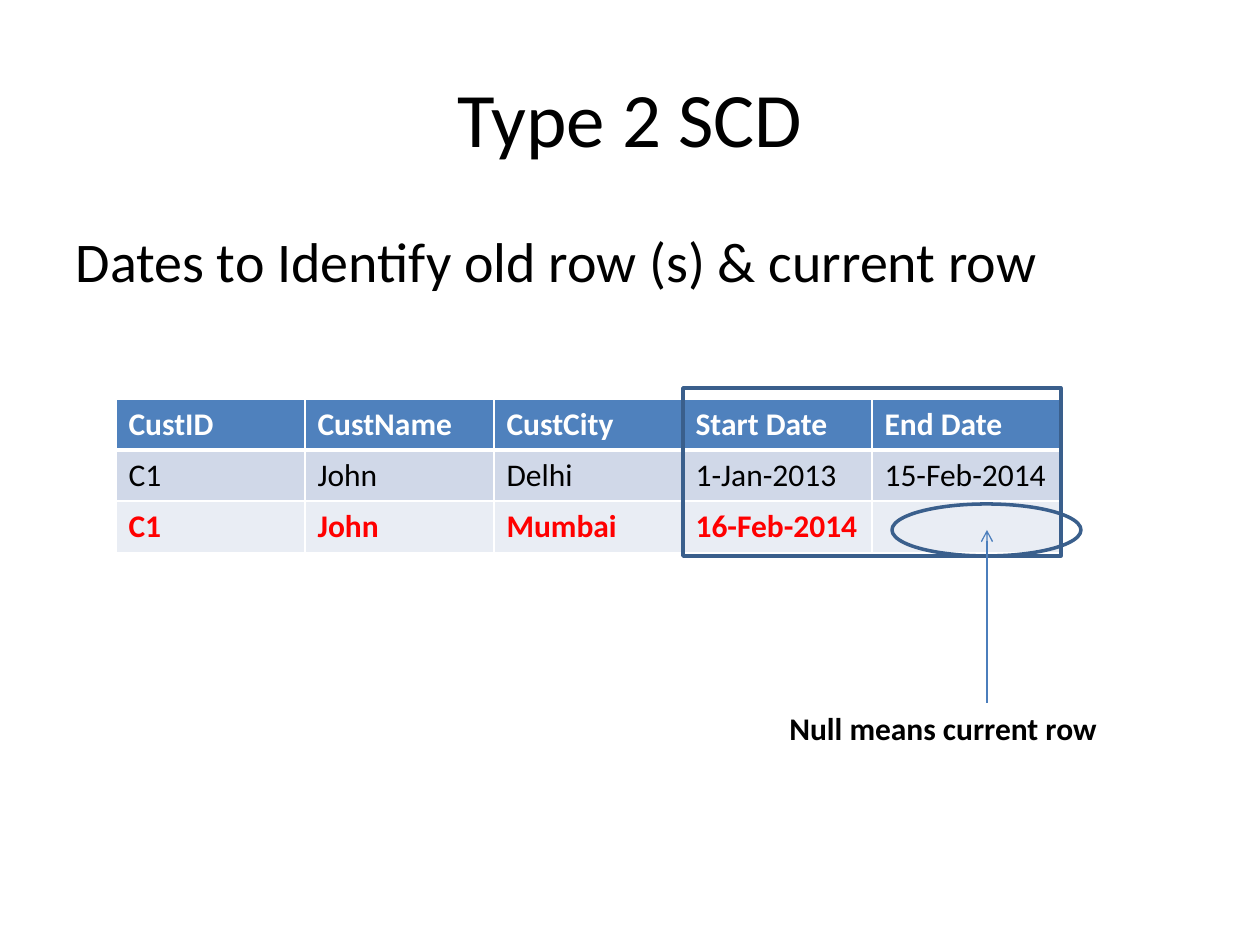
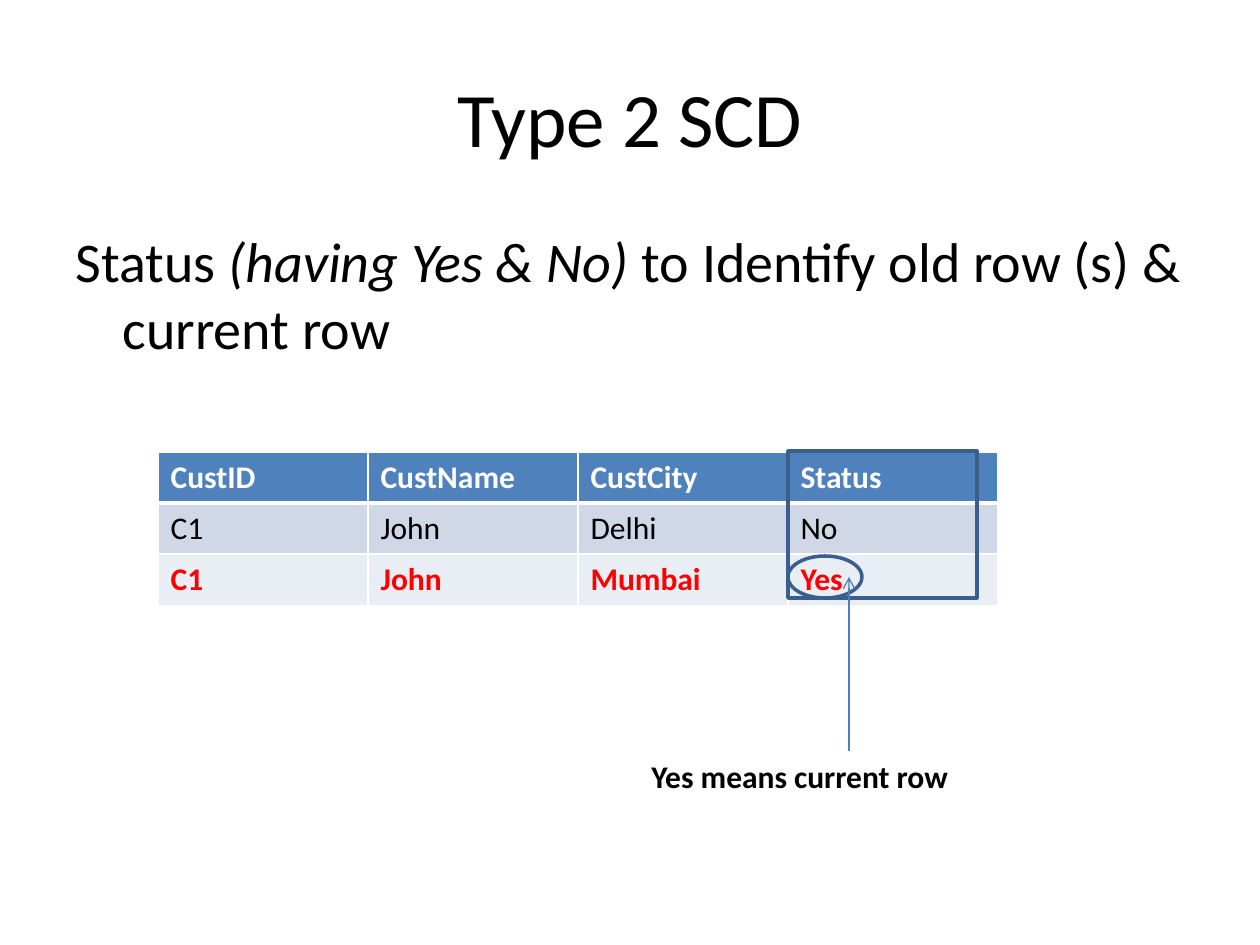
from dataclasses import dataclass

from lxml.etree import SubElement as Sub
from pptx import Presentation
from pptx.dml.color import RGBColor as Rgb
from pptx.enum.shapes import MSO_CONNECTOR as Link, MSO_SHAPE as Kind
from pptx.enum.text import MSO_ANCHOR as Anchor, PP_ALIGN as Align
from pptx.oxml import parse_xml
from pptx.oxml.ns import nsdecls, qn
from pptx.util import Emu, Pt

SCALE = 914400 / 126


def px(size):
    return Emu(round(size * SCALE))


@dataclass(frozen=True)
class Theme:
    face: str = "Calibri"
    ink: str = "000000"
    white: str = "FFFFFF"
    red: str = "FF0000"
    head: str = "4F81BD"
    band: str = "D0D8E8"
    pale: str = "E9EDF4"
    frame: str = "3A5F8C"
    arrow: str = "4B7EBC"
    title: int = 44
    body: int = 32
    text: int = 18


class Deck:
    def __init__(self, theme):
        self.theme = theme
        self.show = Presentation()
        self.show.slide_width, self.show.slide_height = px(1260), px(945)
        self.slide = None

    def place(self, shape, box):
        shape.left, shape.top, shape.width, shape.height = map(px, box)

    def add_run(self, para, text, size, color=None, bold=False, slant=False):
        run = para.add_run()
        run.text = text
        font = run.font
        font.name, font.size = self.theme.face, Pt(size)
        font.bold, font.italic = bold, slant
        font.color.rgb = Rgb.from_string(color or self.theme.ink)

    def page(self, title, lead):
        self.slide = self.show.slides.add_slide(self.show.slide_layouts[1])
        head, body = self.slide.placeholders
        self.place(head, (63, 38, 1134, 157))
        head.text_frame.vertical_anchor = Anchor.MIDDLE
        para = head.text_frame.paragraphs[0]
        para.alignment = Align.CENTER
        self.add_run(para, title, self.theme.title)
        self.place(body, (63, 220, 1134, 624))
        para = body.text_frame.paragraphs[0]
        props = para._p.get_or_add_pPr()
        props.set("marL", str(px(47)))
        props.set("indent", str(px(-47)))
        Sub(props, qn("a:buNone"))
        para.space_before = Pt(0)
        for text, slant in lead:
            self.add_run(para, text, self.theme.body, slant=slant)

    def edge(self, cell, widths):
        props = cell._tc.get_or_add_tcPr()
        for spot, (side, width) in enumerate(zip("LRTB", widths)):
            props.insert(spot, parse_xml(
                f'<a:ln{side} {nsdecls("a")} w="{Pt(width)}"><a:solidFill>'
                f'<a:srgbClr val="{self.theme.white}"/></a:solidFill></a:ln{side}>'))

    def table(self, left, top, wide, rows, high=51):
        look = self.theme
        styles = [(look.head, look.white, True, (1, 1, 1, 3)),
                  (look.band, look.ink, False, (1, 1, 3, 1)),
                  (look.pale, look.red, True, (1, 1, 1, 1))]
        count = len(rows[0])
        box = map(px, (left, top, wide * count, high * len(rows)))
        grid = self.slide.shapes.add_table(len(rows), count, *box).table
        for col in grid.columns:
            col.width = px(wide)
        for line, row, style in zip(grid.rows, rows, styles):
            line.height = px(high)
            fill, color, bold, widths = style
            for cell, text in zip(line.cells, row):
                cell.fill.solid()
                cell.fill.fore_color.rgb = Rgb.from_string(fill)
                self.edge(cell, widths)
                if text:
                    para = cell.text_frame.paragraphs[0]
                    self.add_run(para, text, look.text, color, bold)

    def ring(self, kind, *box):
        shape = self.slide.shapes.add_shape(kind, *map(px, box))
        shape.shadow.inherit = False
        shape.fill.background()
        shape.line.color.rgb = Rgb.from_string(self.theme.frame)
        shape.line.width = Pt(2)

    def arrow(self, x, start, end):
        link = self.slide.shapes.add_connector(
            Link.STRAIGHT, *map(px, (x, start, x, end)))
        link.line.color.rgb = Rgb.from_string(self.theme.arrow)
        link.line.width = Pt(0.75)
        props = link.element.spPr
        Sub(props.find(qn("a:ln")), qn("a:tailEnd"), type="arrow")
        Sub(props, qn("a:effectLst"))

    def note(self, text, left, top):
        box = self.slide.shapes.add_textbox(*map(px, (left, top, 336, 51)))
        box.text_frame.word_wrap = True
        self.add_run(box.text_frame.paragraphs[0], text, self.theme.text, bold=True)


def main():
    deck = Deck(Theme())
    title = "Type 2 SCD"
    heads = ["CustID", "CustName", "CustCity"]
    old = ["C1", "John", "Delhi"]
    new = ["C1", "John", "Mumbai"]

    deck.page(title, [("Dates to Identify old row (s) & current row", False)])
    deck.table(116, 399, 189, [heads + ["Start Date", "End Date"],
                               old + ["1-Jan-2013", "15-Feb-2014"],
                               new + ["16-Feb-2014", ""]])
    deck.ring(Kind.RECTANGLE, 683, 388, 378, 168)
    deck.ring(Kind.OVAL, 892, 504, 189, 52)
    deck.arrow(987, 703, 530)
    deck.note("Null means current row", 777, 703)

    deck.page(title, [("Status ", False), ("(having Yes & No) ", True),
                      ("to Identify old row (s) & current row", False)])
    deck.table(158, 452, 210, [heads + ["Status"], old + ["No"], new + ["Yes"]])
    deck.ring(Kind.RECTANGLE, 788, 451, 189, 147)
    deck.ring(Kind.OVAL, 788, 556, 74, 42)
    deck.arrow(849, 751, 577)
    deck.note("Yes means current row", 639, 751)

    deck.show.save("out.pptx")


if __name__ == "__main__":
    main()
